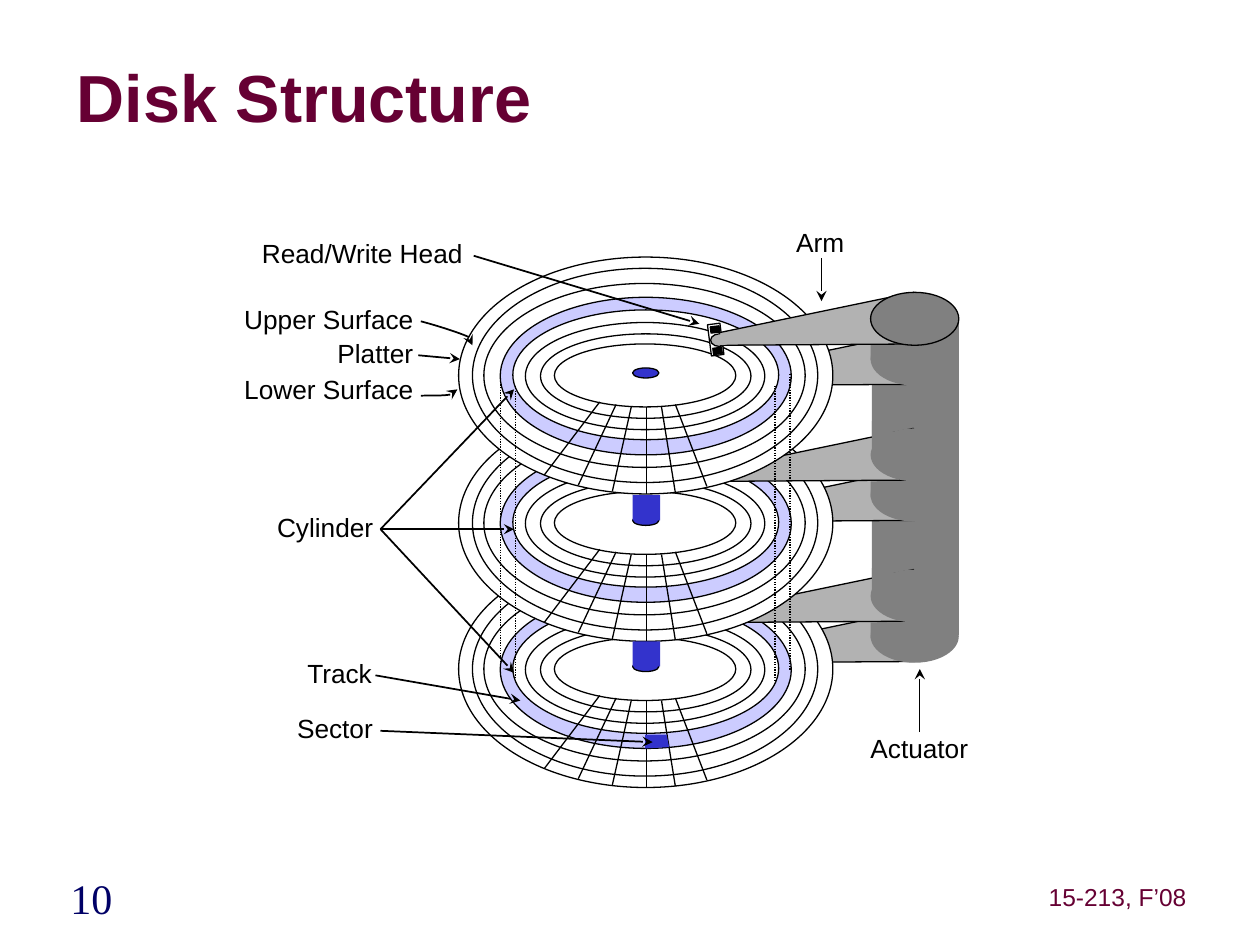
from typing import NamedTuple, Optional

from lxml import etree
from pptx import Presentation
from pptx.dml.color import RGBColor
from pptx.enum.dml import MSO_LINE
from pptx.enum.shapes import MSO_CONNECTOR, MSO_SHAPE
from pptx.enum.text import MSO_ANCHOR, MSO_AUTO_SIZE, PP_ALIGN
from pptx.oxml.ns import qn
from pptx.util import Inches, Pt

OVAL, RECTANGLE = MSO_SHAPE.OVAL, MSO_SHAPE.RECTANGLE
STRAIGHT = MSO_CONNECTOR.STRAIGHT
DOTTED = MSO_LINE.ROUND_DOT
LEFT, CENTER = PP_ALIGN.LEFT, PP_ALIGN.CENTER
TOP, MIDDLE = MSO_ANCHOR.TOP, MSO_ANCHOR.MIDDLE
GROW = MSO_AUTO_SIZE.SHAPE_TO_FIT_TEXT
BLACK, WHITE, MAROON, NAVY = "000000", "FFFFFF", "660033", "000066"
DARK_GREY, LIGHT_GREY, BLUE, LAVENDER = "808080", "B2B2B2", "3333CC", "CCCCFF"
THIN, MEDIUM = 0.75, 1
CURVE_STEPS = 10
Point = tuple[float, float]


class Box(NamedTuple):
    """A rectangle in inches."""
    left: float
    top: float
    width: float
    height: float


class Ring(NamedTuple):
    """An ellipse of a platter, placed from the platter top."""
    box: Box
    fill: str = WHITE


class TextStyle(NamedTuple):
    """Look and layout of a one-line text."""
    size: float = 15
    color: str = BLACK
    font: str = "Arial"
    bold: bool = False
    align: PP_ALIGN = LEFT
    anchor: MSO_ANCHOR = TOP
    inset_x: float = 0.1
    inset_y: float = 0.05
    spacing: float = 1
    wrap: bool = False


class Label(NamedTuple):
    """A text and its box."""
    text: str
    box: Box


class Segment(NamedTuple):
    """A straight line between two points."""
    start: Point
    end: Point
    width: float = MEDIUM


RINGS = [
    Ring(Box(3.64, 0, 2.97, 1.88)), Ring(Box(3.75, 0.09, 2.74, 1.7)),
    Ring(Box(3.84, 0.21, 2.55, 1.46)), Ring(Box(3.97, 0.32, 2.31, 1.25), LAVENDER),
    Ring(Box(4.07, 0.42, 2.11, 1.03)), Ring(Box(4.17, 0.52, 1.9, 0.85)),
    Ring(Box(4.29, 0.61, 1.67, 0.67)), Ring(Box(4.4, 0.69, 1.44, 0.5)),
    Ring(Box(5.02, 0.88, 0.21, 0.08), BLUE),
]
SPOKES = [
    Segment((5.13, 1.19), (5.13, 1.88)), Segment((5.25, 1.19), (5.36, 1.87)),
    Segment((5.36, 1.17), (5.61, 1.82)), Segment((5.01, 1.19), (4.86, 1.86)),
    Segment((4.89, 1.17), (4.59, 1.81)), Segment((4.76, 1.15), (4.32, 1.73)),
]
PLATTER_TOPS = [2.04, 3.21, 4.37]
CYLINDER_EDGES = [(3.97, 2.97), (4.09, 3.06), (6.27, 2.97), (6.15, 3.06)]
CYLINDER_HEIGHT = 2.35
SPINDLES = [Box(5.02, top, 0.22, 0.2) for top in (3.93, 5.09)]
ACTUATOR_PATCHES = [
    *(Box(6.92, top, 0.16, 0.22) for top in (3.34, 4.51)),
    *(Box(6.91, top, 0.15, 0.13) for top in (2.73, 3.82, 4.94)),
]
LABELS = [
    Label("Read/Write Head", Box(1.98, 1.83, 1.8, 0.35)),
    Label("Upper Surface", Box(1.84, 2.36, 1.54, 0.35)),
    Label("Platter", Box(2.58, 2.63, 0.8, 0.35)),
    Label("Lower Surface", Box(1.84, 2.91, 1.54, 0.35)),
    Label("Cylinder", Box(2.1, 4.01, 0.98, 0.35)),
    Label("Track", Box(2.34, 5.17, 0.72, 0.35)),
    Label("Sector", Box(2.26, 5.6, 0.8, 0.35)),
    Label("Arm", Box(6.22, 1.75, 0.58, 0.35)),
    Label("Actuator", Box(6.81, 5.76, 0.99, 0.35)),
]
POINTERS = [
    Segment((7.3, 5.81), (7.3, 5.31), THIN), Segment((6.52, 2.05), (6.52, 2.39)),
    Segment((3.32, 2.82), (3.65, 2.85)),
    *(Segment((3.02, 4.2), (4.08, y)) for y in (4.2, 3.09, 5.34)),
    Segment((2.98, 5.36), (4.13, 5.56)), Segment((3.02, 5.8), (5.18, 5.89)),
    Segment((3.76, 2.03), (5.55, 2.57)),
]
CURVED_POINTERS = [
    [(3.34, 2.55), (3.49, 2.59), (3.64, 2.64), (3.71, 2.67),
     (3.78, 2.7), (3.74, 2.72), (3.75, 2.74)],
    [(3.34, 3.14), (3.44, 3.14), (3.54, 3.14), (3.58, 3.13),
     (3.63, 3.12), (3.63, 3.1), (3.63, 3.09)],
]


def rgb(color: str) -> RGBColor:
    """Turn a hex string into a colour."""
    return RGBColor.from_string(color)


def paint(shape, fill: Optional[str], line: Optional[str], width: float = THIN) -> None:
    """Set the fill and outline of a shape and drop its shadow."""
    shape.shadow.inherit = False
    if fill:
        shape.fill.solid()
        shape.fill.fore_color.rgb = rgb(fill)
    else:
        shape.fill.background()
    if line:
        shape.line.color.rgb = rgb(line)
        shape.line.width = Pt(width)
    else:
        shape.line.fill.background()


def add_arrowhead(shape) -> None:
    """Put a stealth arrowhead at the end of a line."""
    etree.SubElement(shape.line._get_or_add_ln(), qn("a:tailEnd"), type="stealth")


def draw_shape(slide, kind: MSO_SHAPE, box: Box, fill: str,
               line: Optional[str] = None, rotation: float = 0) -> None:
    """Draw a preset shape."""
    shape = slide.shapes.add_shape(kind, *map(Inches, box))
    shape.rotation = rotation
    paint(shape, fill, line)


def draw_outline(slide, points: list[Point], fill: Optional[str],
                 line: Optional[str], width: float = THIN, closed: bool = True):
    """Draw a freeform through the points."""
    start, *rest = [(Inches(x), Inches(y)) for x, y in points]
    builder = slide.shapes.build_freeform(*start)
    builder.add_line_segments(rest, close=closed)
    shape = builder.convert_to_shape()
    paint(shape, fill, line, width)
    return shape


def draw_line(slide, segment: Segment, arrow: bool = False, dotted: bool = False) -> None:
    """Draw a straight connector."""
    ends = map(Inches, (*segment.start, *segment.end))
    connector = slide.shapes.add_connector(STRAIGHT, *ends)
    connector.line.color.rgb = rgb(BLACK)
    connector.line.width = Pt(segment.width)
    if dotted:
        connector.line.dash_style = DOTTED
    if arrow:
        add_arrowhead(connector)
    etree.SubElement(connector._element.spPr, qn("a:effectLst"))


def draw_text(slide, label: Label, style: TextStyle = TextStyle()) -> None:
    """Draw a one-line text box."""
    frame = slide.shapes.add_textbox(*map(Inches, label.box)).text_frame
    frame.word_wrap = style.wrap
    if not style.wrap:
        frame.auto_size = GROW
    frame.vertical_anchor = style.anchor
    frame.margin_left = frame.margin_right = Inches(style.inset_x)
    frame.margin_top = frame.margin_bottom = Inches(style.inset_y)
    paragraph = frame.paragraphs[0]
    paragraph.alignment = style.align
    paragraph.line_spacing = style.spacing
    run = paragraph.add_run()
    run.text = label.text
    run.font.name, run.font.size, run.font.bold = style.font, Pt(style.size), style.bold
    run.font.color.rgb = rgb(style.color)


def draw_arm(slide, top: float, hub_line: Optional[str] = None) -> None:
    """Draw an arm with its tip and its hub on the actuator."""
    draw_shape(slide, OVAL, Box(5.64, top + 0.33, 0.14, 0.1), LIGHT_GREY, BLACK)
    blade = [(5.71, top + 0.32), (7.25, top), (7.26, top + 0.41), (5.72, top + 0.42)]
    draw_outline(slide, blade, LIGHT_GREY, BLACK)
    draw_shape(slide, OVAL, Box(6.91, top, 0.7, 0.42), DARK_GREY, hub_line)


def draw_platter(slide, top: float) -> None:
    """Draw the tracks and sector lines of a platter."""
    for ring in RINGS:
        box = ring.box._replace(top=top + ring.box.top)
        draw_shape(slide, OVAL, box, ring.fill, BLACK)
    for (x1, y1), (x2, y2), _ in SPOKES:
        draw_line(slide, Segment((x1, top + y1), (x2, top + y2), THIN))


def draw_curved_pointer(slide, controls: list[Point]) -> None:
    """Draw an arrow along joined cubic curves."""
    points = [controls[0]]
    for first in range(0, len(controls) - 1, 3):
        curve = controls[first:first + 4]
        for step in range(1, CURVE_STEPS + 1):
            t = step / CURVE_STEPS
            weights = ((1 - t) ** 3, 3 * t * (1 - t) ** 2, 3 * t * t * (1 - t), t ** 3)
            points.append(tuple(sum(w * p[axis] for w, p in zip(weights, curve))
                                for axis in (0, 1)))
    add_arrowhead(draw_outline(slide, points, None, BLACK, MEDIUM, closed=False))


def draw_head(slide) -> None:
    """Draw the read/write head."""
    tilt = 352.7
    draw_shape(slide, RECTANGLE, Box(5.63, 2.57, 0.1, 0.25), WHITE, BLACK, tilt)
    for left, top in ((5.64, 2.59), (5.66, 2.76)):
        draw_shape(slide, RECTANGLE, Box(left, top, 0.07, 0.05), BLACK, BLACK, tilt)


def draw_disk(slide) -> None:
    """Draw the disk from the lowest platter up."""
    upper, middle, lower = PLATTER_TOPS
    draw_shape(slide, RECTANGLE, Box(6.92, 2.53, 0.69, 2.51), DARK_GREY)
    for platter_top, arm_tops in ((lower, (3.72, 4.84)), (middle, (2.64, 4.52)), (upper, (3.4,))):
        for arm_top in arm_tops:
            draw_arm(slide, arm_top)
        draw_platter(slide, platter_top)
    for box in SPINDLES:
        draw_shape(slide, RECTANGLE, box, BLUE)
    for x, y in CYLINDER_EDGES:
        draw_line(slide, Segment((x, y), (x, y + CYLINDER_HEIGHT), THIN), dotted=True)
    draw_outline(slide, [(5.12, 5.83), (5.12, 5.94), (5.31, 5.93), (5.29, 5.83)], BLUE, None)
    for box in ACTUATOR_PATCHES:
        draw_shape(slide, RECTANGLE, box, DARK_GREY)
    draw_head(slide)
    draw_arm(slide, 2.32, BLACK)
    draw_shape(slide, OVAL, Box(5.67, 2.65, 0.13, 0.09), LIGHT_GREY)


def main() -> None:
    """Build and save the slide."""
    presentation = Presentation()
    presentation.slide_width, presentation.slide_height = Inches(10), Inches(7.5)
    slide = presentation.slides.add_slide(presentation.slide_layouts[6])
    footer = TextStyle(14, MAROON, align=CENTER, anchor=MIDDLE, inset_x=0.05, spacing=0.88)
    number = footer._replace(size=24, color=NAVY, font="Times New Roman", spacing=0.83)
    title = TextStyle(38, MAROON, bold=True, anchor=MIDDLE, inset_x=0, inset_y=0,
                      spacing=0.85, wrap=True)
    draw_text(slide, Label("10", Box(-0.02, 6.94, 1.49, 0.43)), number)
    draw_text(slide, Label("15-213, F’08", Box(8.27, 6.98, 1.2, 0.31)), footer)
    draw_text(slide, Label("Disk Structure", Box(0.61, 0.5, 8.45, 0.63)), title)
    draw_disk(slide)
    for label in LABELS:
        draw_text(slide, label)
    for pointer in POINTERS:
        draw_line(slide, pointer, arrow=True)
    for controls in CURVED_POINTERS:
        draw_curved_pointer(slide, controls)
    presentation.save("out.pptx")


if __name__ == "__main__":
    main()
